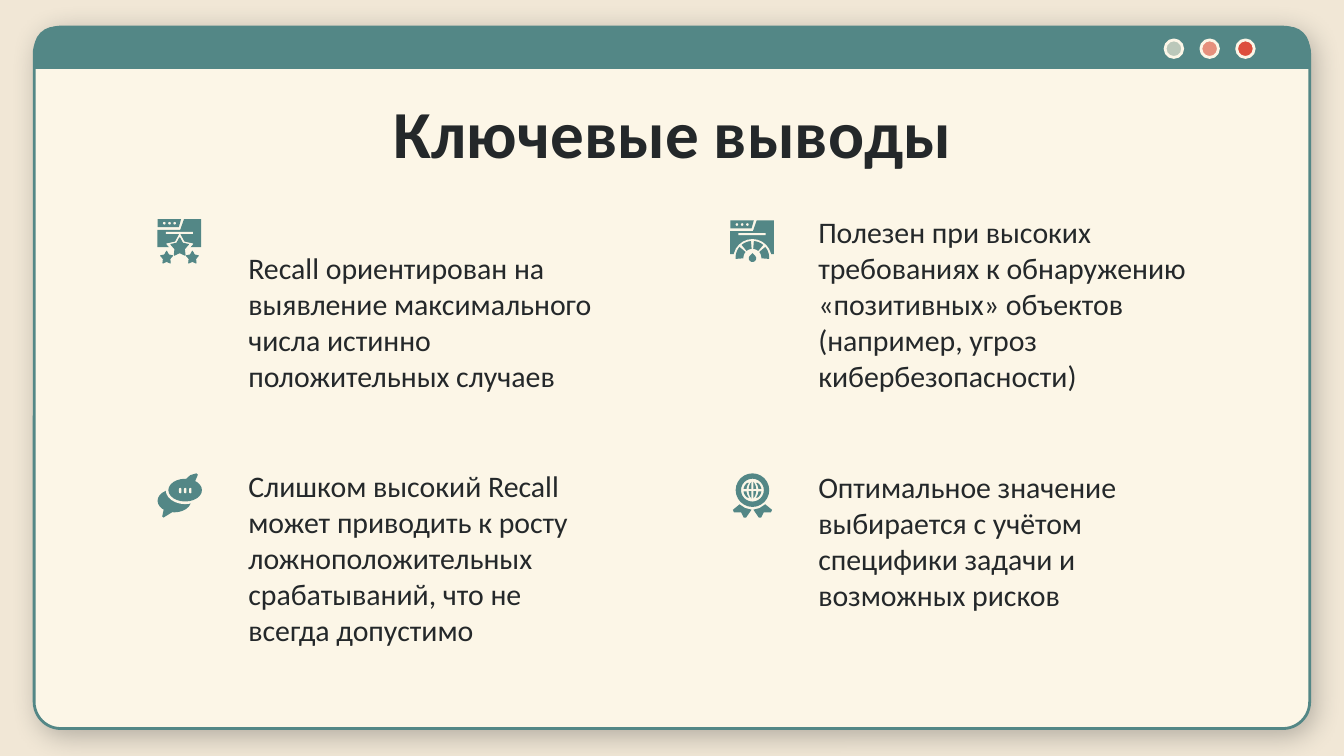
from math import cos, radians, sin

from lxml.etree import SubElement
from pptx import Presentation
from pptx.dml.color import RGBColor
from pptx.enum.shapes import MSO_SHAPE as KIND
from pptx.enum.text import MSO_ANCHOR, PP_ALIGN
from pptx.oxml.ns import qn
from pptx.util import Pt

HUES = {
    "sand": "F1E7D6",
    "cream": "FCF6E7",
    "teal": "538786",
    "ink": "24282A",
    "sage": "BBC8BA",
    "coral": "E6907D",
    "red": "DD4F3D",
}
RGB = {name: RGBColor.from_string(code) for name, code in HUES.items()}

deck = Presentation()
deck.slide_width, deck.slide_height = Pt(720), Pt(405)
slide = deck.slides.add_slide(deck.slide_layouts[5])
slide.background.fill.solid()
slide.background.fill.fore_color.rgb = RGB["sand"]
shapes = slide.shapes


def put(kind, box, hue="teal", edge=None, wide=1.5, adj=()):
    """Add a preset shape; edge None hides its line."""
    item = shapes.add_shape(kind, *map(Pt, box))
    item.shadow.inherit = False
    item.fill.solid()
    item.fill.fore_color.rgb = RGB[hue]
    if edge:
        item.line.color.rgb = RGB[edge]
        item.line.width = Pt(wide)
    else:
        item.line.fill.background()
    for i, value in enumerate(adj):
        item.adjustments[i] = value
    return item


def draw(left, top, dots):
    """Add a teal polygon from dots relative to an icon's corner."""
    ends = [(Pt(left + x), Pt(top + y)) for x, y in dots]
    pen = shapes.build_freeform(*ends[0], scale=1.0)
    pen.add_line_segments(ends[1:], close=True)
    item = pen.convert_to_shape()
    item.shadow.inherit = False
    item.fill.solid()
    item.fill.fore_color.rgb = RGB["teal"]
    item.line.fill.background()


# Window frame
frame = put(KIND.ROUNDED_RECTANGLE, (18.3, 14.5, 683.3, 375.8), "cream", "teal", adj=[0.038])
glow = SubElement(frame._element.spPr.find(qn("a:effectLst")), qn("a:outerShdw"),
                  blurRad=str(Pt(14.6)), dist=str(Pt(3.8)), dir="3000000",
                  algn="bl", rotWithShape="0")
tint = SubElement(glow, qn("a:srgbClr"), val=HUES["ink"])
SubElement(tint, qn("a:alpha"), val="30000")
put(KIND.ROUND_2_SAME_RECTANGLE, (18.3, 14.2, 683.3, 22.8), adj=[0.5, 0])
for i, hue in enumerate(["sage", "coral", "red"]):
    put(KIND.OVAL, (624.2 + 19.15 * i, 21.4, 9.4, 9.4), hue, "cream")

# Title, raised above the frame, and texts
title = shapes.title
shapes._spTree.append(title._element)
title.left, title.top, title.width, title.height = map(Pt, (56.9, 41.3, 607, 59))
blocks = [
    ("Recall ориентирован на выявление максимального числа истинно положительных случаев",
     (126, 111.2, 204.5, 106.6)),
    ("Полезен при высоких требованиях к обнаружению «позитивных» объектов "
     "(например, угроз кибербезопасности)", (431.3, 111.2, 236.9, 106.6)),
    ("Слишком высокий Recall может приводить к росту ложноположительных срабатываний, "
     "что не всегда допустимо", (126, 247.3, 204.5, 106.6)),
    ("Оптимальное значение выбирается с учётом специфики задачи и возможных рисков",
     (431.3, 247.3, 231.8, 87.8)),
]
texts = [(title, "Ключевые выводы", 36, True, PP_ALIGN.CENTER, MSO_ANCHOR.MIDDLE)]
for words, box in blocks:
    area = shapes.add_textbox(*map(Pt, box))
    texts.append((area, words, 16, False, PP_ALIGN.LEFT, MSO_ANCHOR.BOTTOM))
inset = {f"margin_{side}": Pt(7.2) for side in ("left", "top", "right", "bottom")}
for area, words, size, bold, align, anchor in texts:
    body = area.text_frame
    body.text = words
    for key, value in {**inset, "word_wrap": True, "vertical_anchor": anchor}.items():
        setattr(body, key, value)
    line = body.paragraphs[0]
    line.alignment = align
    font = line.runs[0].font
    for key, value in {"name": "Calibri", "size": Pt(size), "bold": bold}.items():
        setattr(font, key, value)
    font.color.rgb = RGB["ink"]

# Browser windows behind the two upper icons
west, east, north, south = 84.4, 391.2, 117.4, 253.6
for left, top, deep in [(west, north, 15), (east, north + 0.7, 18)]:
    draw(left, top, [(0, 0), (12.6, 0), (11.4, 4.3), (0, 4.3)])
    draw(left, top, [(14.2, 0), (23.4, 0), (23.4, deep), (0, deep), (0, 5.7), (12.2, 5.7)])
    put(KIND.RECTANGLE, (left + 4.4, top + 6.8, 14.6, 1.2), "cream")
    for i in range(3):
        put(KIND.OVAL, (left + 2.9 + 2.8 * i, top + 1.5, 1.4, 1.4), "cream")

# Stars
for x, y, size, hue in [(5, 8, 13.8, "cream"), (7.2, 10, 9.4, "teal"),
                        (1.7, 17.2, 6.4, "teal"), (15.5, 17.2, 6.4, "teal")]:
    put(KIND.STAR_5_POINT, (west + x, north + y, size, size), hue, hue, 0.5, adj=[0.27])

# Gauge
put(KIND.OVAL, (east + 1.7, north + 10.7, 20.4, 20.4), "cream")
for start, stop in [(-4, 40), (50, 85), (95, 130), (140, 184)]:
    turns = [radians(start + (stop - start) * i / 8) for i in range(9)]
    rim = [(11.9 + 9 * cos(a), 20 - 9 * sin(a)) for a in turns]
    hub = [(11.9 + 4.8 * cos(a), 20 - 4.8 * sin(a)) for a in reversed(turns)]
    draw(east, north + 0.7, rim + hub)
drop = put(KIND.TEAR, (east + 9.9, north + 19, 4, 4))
drop.rotation = 315

# Speech bubbles
put(KIND.OVAL, (west, south + 8.5, 18, 12.4))
draw(west, south, [(3.6, 18), (2.5, 23), (3.2, 23.7), (8.2, 20.6)])
put(KIND.OVAL, (west + 4.4, south + 1.5, 20.8, 15), "cream")
put(KIND.OVAL, (west + 5.8, south + 2.9, 18, 12.2))
draw(west, south, [(15.2, 3.2), (17.5, 1), (20.9, 0), (21.6, 0.8), (20, 4.6)])
for i in range(3):
    put(KIND.ROUNDED_RECTANGLE, (west + 11.5 + 2.7 * i, south + 7.8, 1.3, 2.9), "cream", adj=[0.5])

# Globe medal, with mirrored globe parts and ribbons
put(KIND.DONUT, (east + 2.9, south, 18, 18), adj=[0.16])
turns = [radians(8 + 9 * i) for i in range(9)]
core = [(0.6, 0.6)] + [(2 * cos(a), 4.4 * sin(a)) for a in turns] + [(0.6, 4.4)]
turns = [radians(8 + 6 * i) for i in range(9)]
side = ([(3.2 * cos(a), 4.8 * sin(a)) for a in turns]
        + [(4.8 * cos(a), 4.8 * sin(a)) for a in reversed(turns)])
ribbon = [(-6.9, 7.6), (-10.5, 10.6), (-9.9, 11.9), (-6.1, 11.9), (-4.7, 14.7),
          (-3.4, 14.7), (-0.5, 10.5), (-3.9, 9.6)]
for flip in (1, -1):
    draw(east + 11.9, south + 9, [(flip * x, y) for x, y in ribbon])
    for part in (core, side):
        for turn in (1, -1):
            draw(east + 11.9, south + 9, [(flip * x, turn * y) for x, y in part])

deck.save("out.pptx")
